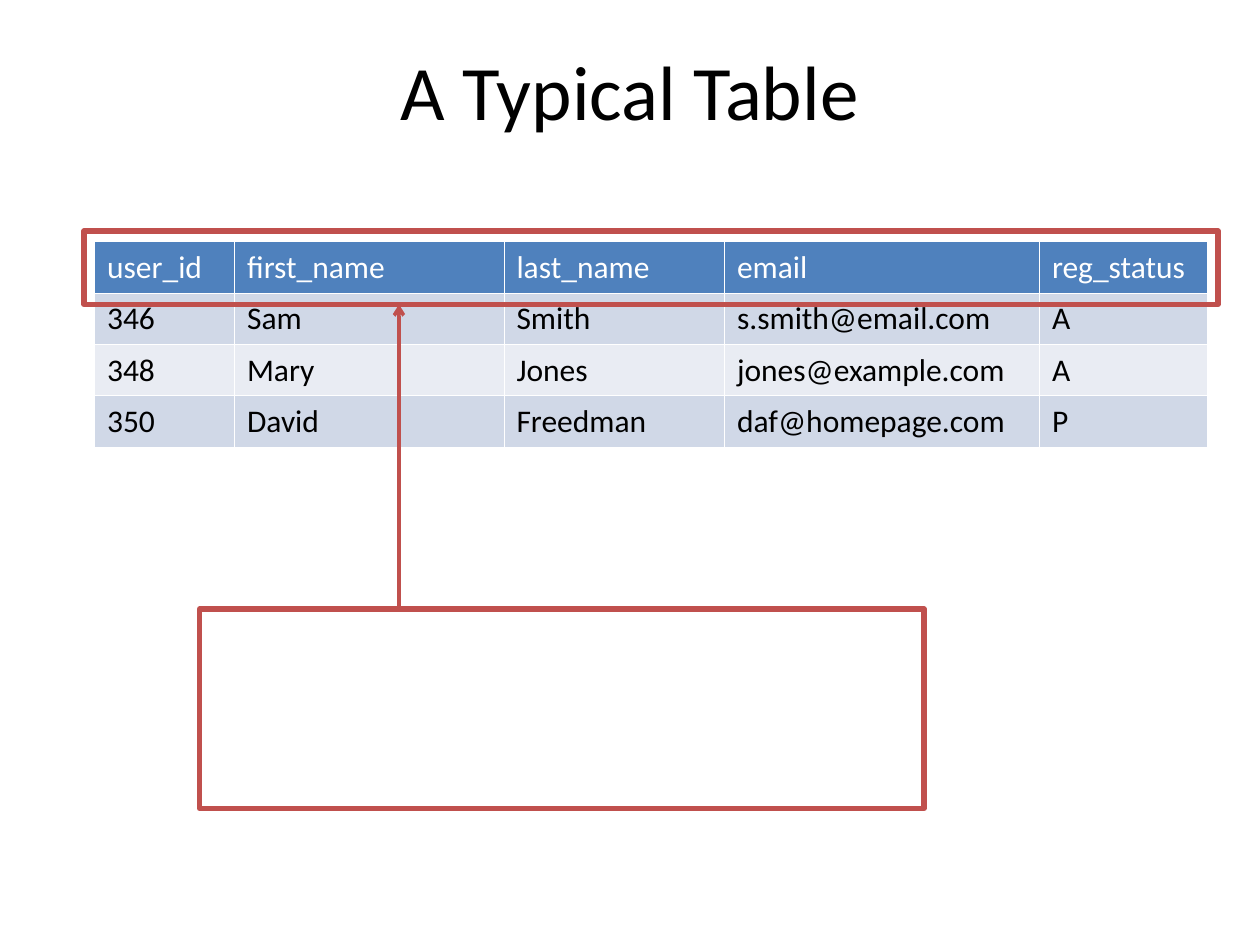
"""Build a slide that points out the header row of a typical table."""
from dataclasses import dataclass

from pptx import Presentation
from pptx.dml.color import RGBColor
from pptx.enum import shapes, text
from pptx.oxml import parse_xml
from pptx.oxml.ns import nsdecls
from pptx.util import Pt


@dataclass(frozen=True)
class Theme:
    font: str = "Calibri"
    title: int = 44
    body: int = 18
    ink: str = "000000"
    white: str = "FFFFFF"
    head: str = "4F81BD"
    bands: tuple = ("D0D8E7", "E9ECF3")
    mark: str = "C0504D"


def write(frame, words, size, color, font, align=text.PP_ALIGN.LEFT, space=1.0):
    para = frame.paragraphs[0]
    para.alignment = align
    para.line_spacing = space
    run = para.add_run()
    run.text = words
    run.font.name = font
    run.font.size = Pt(size)
    run.font.bold = False
    run.font.color.rgb = RGBColor.from_string(color)


class Page:
    def __init__(self, deck, theme):
        self.look = theme
        self.slide = deck.slides.add_slide(deck.slide_layouts[6])

    def title(self, words, *area):
        frame = self.slide.shapes.add_textbox(*map(Pt, area)).text_frame
        frame.word_wrap = True
        frame.vertical_anchor = text.MSO_ANCHOR.TOP
        write(frame, words, self.look.title, self.look.ink, self.look.font,
              align=text.PP_ALIGN.CENTER)

    def table(self, rows, left, top, widths, height):
        look = self.look
        grid = self.slide.shapes.add_table(
            len(rows), len(widths), Pt(left), Pt(top),
            Pt(sum(widths)), Pt(height * len(rows))).table
        for col, width in zip(grid.columns, widths):
            col.width = Pt(width)
        for i, row in enumerate(rows):
            grid.rows[i].height = Pt(height)
            fill = look.bands[(i - 1) % 2] if i else look.head
            color = look.ink if i else look.white
            for j, words in enumerate(row):
                cell = grid.cell(i, j)
                self.edge(cell)
                cell.fill.solid()
                cell.fill.fore_color.rgb = RGBColor.from_string(fill)
                write(cell.text_frame, words, look.body, color, look.font, space=1.02)

    def edge(self, cell):
        props = cell._tc.get_or_add_tcPr()
        for side in "LRTB":
            props.append(parse_xml(
                f'<a:ln{side} {nsdecls("a")} w="{Pt(0.45)}"><a:solidFill>'
                f'<a:srgbClr val="{self.look.white}"/></a:solidFill></a:ln{side}>'))

    def stroke(self, line, width):
        line.color.rgb = RGBColor.from_string(self.look.mark)
        line.width = Pt(width)

    def frame(self, *area):
        box = self.slide.shapes.add_shape(shapes.MSO_SHAPE.RECTANGLE, *map(Pt, area))
        box.shadow.inherit = False
        box.fill.background()
        self.stroke(box.line, 3)

    def arrow(self, *ends):
        link = self.slide.shapes.add_connector(
            shapes.MSO_CONNECTOR.STRAIGHT, *map(Pt, ends))
        self.stroke(link.line, 2)
        link.line._get_or_add_ln().append(
            parse_xml(f'<a:tailEnd {nsdecls("a")} type="arrow"/>'))
        link._element.spPr.append(parse_xml(f'<a:effectLst {nsdecls("a")}/>'))


def main():
    deck = Presentation()
    deck.slide_width, deck.slide_height = Pt(720), Pt(540)
    page = Page(deck, Theme())
    page.title("A Typical Table", 36, 21.6, 648, 90)
    users = [
        ("user_id", "first_name", "last_name", "email", "reg_status"),
        ("346", "Sam", "Smith", "s.smith@email.com", "A"),
        ("348", "Mary", "Jones", "jones@example.com", "A"),
        ("350", "David", "Freedman", "daf@homepage.com", "P"),
    ]
    page.table(users, 54, 138, (80, 154, 126, 180, 96), 29.4)
    page.frame(48, 132, 648, 42)
    page.frame(114, 348, 414, 114)
    page.arrow(228, 348, 228, 174)
    deck.save("out.pptx")


if __name__ == "__main__":
    main()
